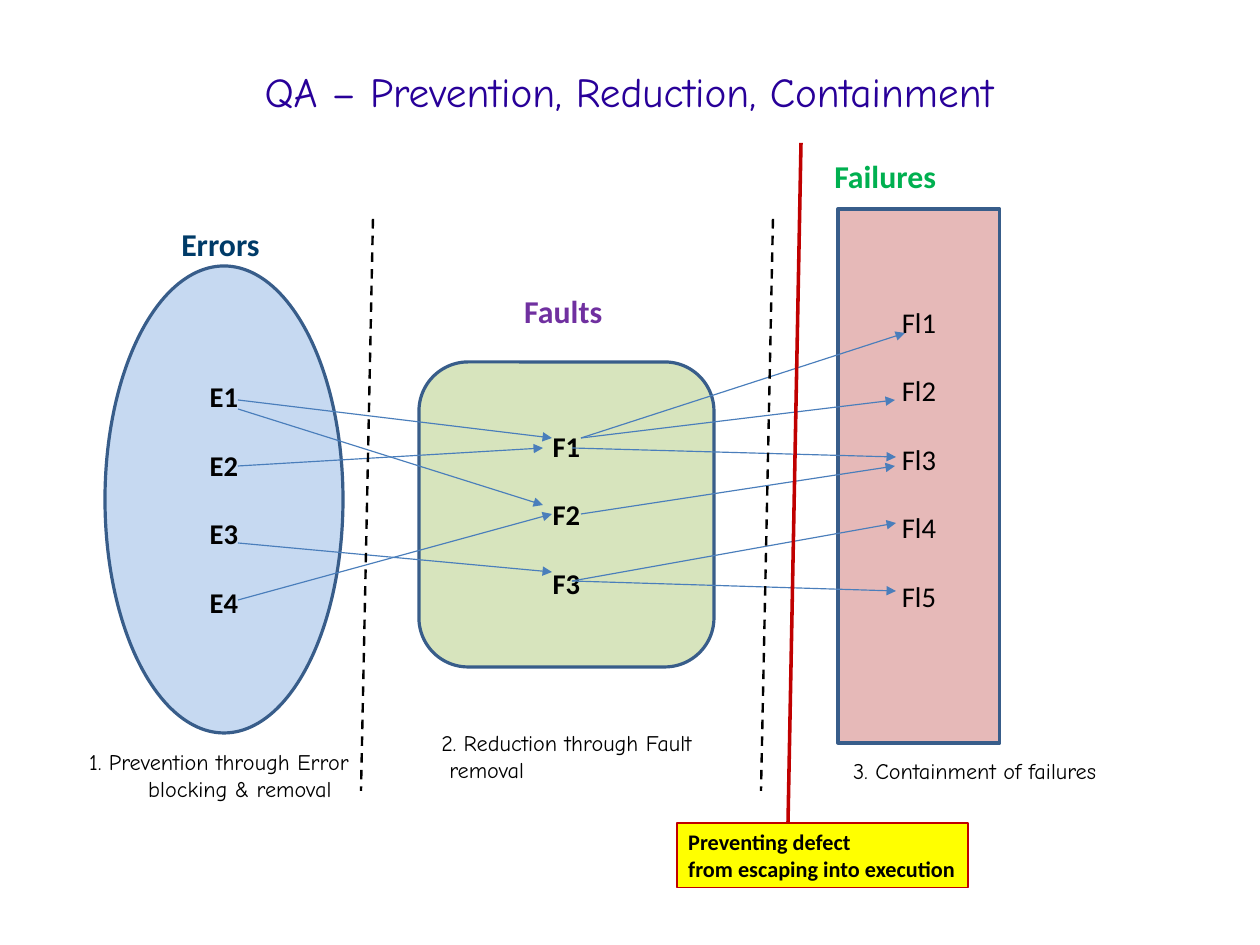
from lxml import etree
from pptx import Presentation
from pptx.dml.color import RGBColor
from pptx.enum.dml import MSO_LINE
from pptx.enum.shapes import MSO_CONNECTOR, MSO_SHAPE
from pptx.enum.text import MSO_ANCHOR, MSO_AUTO_SIZE, PP_ALIGN
from pptx.oxml.ns import qn
from pptx.util import Pt

PX = 8000  # EMU; the slide is 28 by 21 cm
SLIDE_SIZE = (1260, 945)
STRAIGHT = MSO_CONNECTOR.STRAIGHT
DASH = MSO_LINE.DASH
CENTER, LEFT = PP_ALIGN.CENTER, PP_ALIGN.LEFT
TOP, MIDDLE = MSO_ANCHOR.TOP, MSO_ANCHOR.MIDDLE
OVAL, ROUNDED, RECT = MSO_SHAPE.OVAL, MSO_SHAPE.ROUNDED_RECTANGLE, MSO_SHAPE.RECTANGLE

BLACK = RGBColor(0x00, 0x00, 0x00)
INDIGO = RGBColor(0x28, 0x00, 0x99)
NAVY = RGBColor(0x00, 0x3B, 0x68)
PURPLE = RGBColor(0x70, 0x30, 0xA0)
GREEN = RGBColor(0x00, 0xB0, 0x50)
PALE_BLUE = RGBColor(0xC6, 0xD9, 0xF1)
PALE_GREEN = RGBColor(0xD7, 0xE4, 0xBD)
PALE_RED = RGBColor(0xE6, 0xB9, 0xB8)
OUTLINE = RGBColor(0x38, 0x5D, 0x8A)
ARROW_BLUE = RGBColor(0x4A, 0x7E, 0xBB)
RED = RGBColor(0xC0, 0x00, 0x00)
YELLOW = RGBColor(0xFF, 0xFF, 0x00)
SANS, HAND = "Calibri", "Comic Neue"

TITLE = "QA – Prevention, Reduction, Containment"
TITLE_BOX = (63, 38, 1133, 99)

# preset, box, fill, items, bold, bottom inset
STAGES = [
    (OVAL, (105, 266, 238, 467), PALE_BLUE, ["E1", "E2", "E3", "E4"], True, 6),
    (ROUNDED, (419, 362, 295, 305), PALE_GREEN, ["F1", "F2", "F3"], True, 6),
    (RECT, (838, 209, 162, 534), PALE_RED, ["Fl1", "Fl2", "Fl3", "Fl4", "Fl5"], False, 40),
]
# text, box, colour, wrap
HEADINGS = [
    ("Errors", (170, 219, 102, 50), NAVY, False),
    ("Faults", (513, 286, 102, 50), PURPLE, False),
    ("Failures", (823, 151, 186, 50), GREEN, True),
]
# lines, box, indent of the second line
CAPTIONS = [
    (["1. Prevention through Error", "blocking & removal"], (78, 743, 283, 65), 59),
    (["2. Reduction through Fault", "removal"], (430, 724, 275, 65), 8),
    (["3. Containment of failures"], (842, 752, 267, 39), 0),
]
NOTE = ["Preventing defect", "from escaping into execution"]
NOTE_BOX = (677, 823, 291, 65)

ERROR_X = 238
ERROR_TO_FAULT = [  # start y, arrow tip
    (400, (552, 438)), (543, (552, 572)), (466, (543, 448)),
    (600, (552, 514)), (409, (543, 505)),
]
FAULT_TO_FAILURE = [  # start, arrow tip
    ((572, 448), (896, 457)), ((581, 514), (895, 466)), ((581, 438), (905, 333)),
    ((581, 438), (895, 400)), ((572, 581), (896, 591)), ((572, 581), (896, 523)),
]
DIVIDERS = [((373, 219), (361, 791)), ((773, 219), (761, 791))]
BARRIER = ((801, 143), (788, 823))


def emu(lengths):
    return [length * PX for length in lengths]


def write(shape, lines, font, size, color, bold=False, align=LEFT, anchor=TOP, gap=0):
    """Put one paragraph per line into the shape, with gap points between them."""
    frame = shape.text_frame
    frame.vertical_anchor = anchor
    frame.text = "\n".join(lines)
    for number, paragraph in enumerate(frame.paragraphs):
        paragraph.alignment = align
        if number and gap:
            paragraph.space_before = Pt(gap)
        for run in paragraph.runs:
            run.font.name = font
            run.font.size = Pt(size)
            run.font.bold = bold
            run.font.color.rgb = color
    return frame


def add_block(slide, preset, box, fill, line, width):
    block = slide.shapes.add_shape(preset, *emu(box))
    block.shadow.inherit = False
    block.fill.solid()
    block.fill.fore_color.rgb = fill
    block.line.color.rgb = line
    block.line.width = Pt(width)
    return block


def add_line(slide, start, end, color, width, dash=None, arrow=False):
    connector = slide.shapes.add_connector(STRAIGHT, *emu(start + end))
    connector.line.color.rgb = color
    connector.line.width = Pt(width)
    if dash:
        connector.line.dash_style = dash
    properties = connector.line._get_or_add_ln()
    if arrow:
        etree.SubElement(properties, qn("a:tailEnd"), type="triangle")
    etree.SubElement(properties.getparent(), qn("a:effectLst"))


def main():
    deck = Presentation()
    deck.slide_width, deck.slide_height = emu(SLIDE_SIZE)
    slide = deck.slides.add_slide(deck.slide_layouts[5])

    title = slide.shapes.title
    title.left, title.top, title.width, title.height = emu(TITLE_BOX)
    frame = write(title, [TITLE], HAND, 26, INDIGO, align=CENTER, anchor=MIDDLE)
    frame.auto_size = MSO_AUTO_SIZE.NONE
    frame.margin_left = frame.margin_right = frame.margin_top = frame.margin_bottom = 0
    frame.paragraphs[0].line_spacing = 1.16

    for preset, box, fill, items, bold, bottom in STAGES:
        stage = add_block(slide, preset, box, fill, OUTLINE, 2)
        frame = write(stage, items, SANS, 18, BLACK, bold, CENTER, MIDDLE, gap=21.6)
        frame.margin_bottom = bottom * PX

    causes = [((ERROR_X, y), tip) for y, tip in ERROR_TO_FAULT]
    for start, tip in causes + FAULT_TO_FAILURE:
        add_line(slide, start, tip, ARROW_BLUE, 0.75, arrow=True)

    for text, box, color, wrap in HEADINGS:
        heading = slide.shapes.add_textbox(*emu(box))
        write(heading, [text], SANS, 20, color, bold=True).word_wrap = wrap

    for top, bottom in DIVIDERS:
        add_line(slide, top, bottom, BLACK, 1.5, dash=DASH)
    add_line(slide, *BARRIER, RED, 2.25)

    note = add_block(slide, RECT, NOTE_BOX, YELLOW, RED, 0.75)
    write(note, NOTE, SANS, 14, BLACK, bold=True).word_wrap = False

    for lines, box, indent in CAPTIONS:
        caption = slide.shapes.add_textbox(*emu(box))
        frame = write(caption, lines, HAND, 14, BLACK)
        frame.word_wrap = False
        for paragraph in frame.paragraphs[1:]:
            paragraph._p.get_or_add_pPr().set("marL", str(indent * PX))

    deck.save("out.pptx")


if __name__ == "__main__":
    main()
